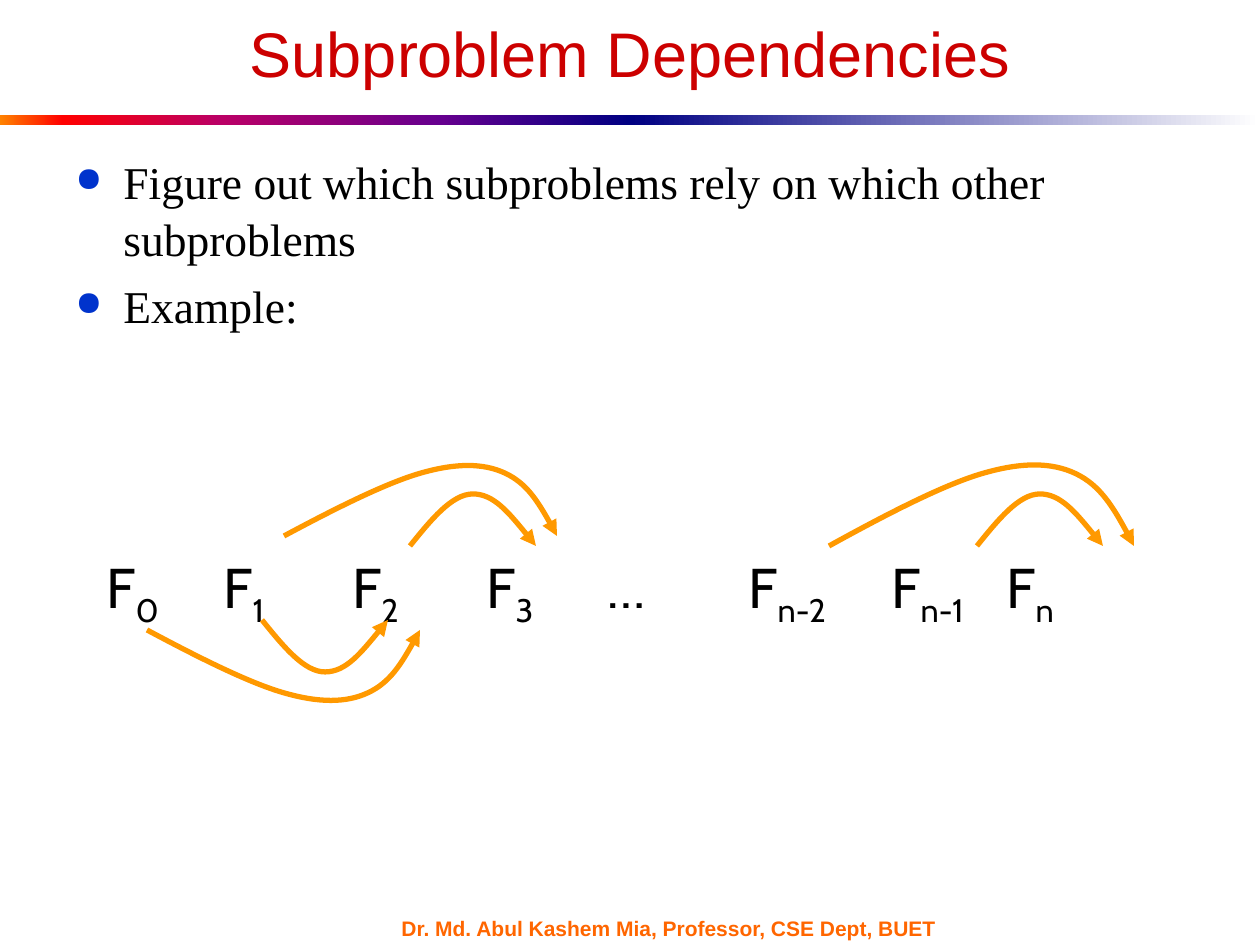
from pptx import Presentation
from pptx.dml.color import RGBColor
from pptx.enum.shapes import MSO_SHAPE
from pptx.enum.text import MSO_ANCHOR, PP_ALIGN
from pptx.oxml.ns import qn
from pptx.util import Emu, Pt
from lxml.etree import SubElement

EMU_PER_PX = 914400 / 126
BLACK = RGBColor(0x00, 0x00, 0x00)
RED = RGBColor(0xCC, 0x00, 0x00)
BLUE = RGBColor(0x00, 0x33, 0xCC)
ORANGE = RGBColor(0xFF, 0x66, 0x00)
AMBER = RGBColor(0xFF, 0x99, 0x00)
NAVY = RGBColor(0x00, 0x00, 0x82)
WHITE = RGBColor(0xFF, 0xFF, 0xFF)
WARM_STOPS = [
    (0, RGBColor(0xFF, 0x82, 0x00)),
    (10, RGBColor(0xFF, 0x00, 0x00)),
    (35, RGBColor(0xBA, 0x00, 0x66)),
    (70, RGBColor(0x66, 0x00, 0x8F)),
    (100, NAVY),
]
COOL_STOPS = [(0, NAVY), (100, WHITE)]

TITLE_FORMAT = {"name": "Arial", "size": Pt(36), "color": RED}
BODY_FORMAT = {"name": "Times New Roman", "size": Pt(26), "color": BLACK}
TERM_FORMAT = {"name": "Cabin", "size": Pt(32), "color": BLACK}
FOOTER_FORMAT = {"name": "Arial", "size": Pt(12), "color": ORANGE, "bold": True}

TERMS = [
    (0, "F", "0"), (117, "F", "1"), (246, "F", "2"), (380, "F", "3"),
    (501, "…", ""), (642, "F", "n-2"), (785, "F", "n-1"), (900, "F", "n"),
]
SHORT_ARC = [(0, 0), (1 / 6, 0.5), (1 / 3, 1), (0.5, 1),
             (2 / 3, 1), (5 / 6, 0.5), (1, 0)]
LONG_ARC = [(0, 0), (0.18, 0.36), (0.37, 0.72), (0.5, 0.86), (0.63, 1),
            (0.73, 1), (0.81, 0.86), (0.89, 0.72), (0.95, 0.36), (1, 0)]
ARCS = [
    (SHORT_ARC, (262, 620, 126, 52)),
    (SHORT_ARC, (410, 546, 126, -52)),
    (SHORT_ARC, (977, 546, 126, -52)),
    (LONG_ARC, (147, 630, 273, 73)),
    (LONG_ARC, (284, 536, 273, -73)),
    (LONG_ARC, (829, 546, 305, -84)),
]


def px(length):
    """Turn pixels into EMU."""
    return Emu(round(length * EMU_PER_PX))


def add_span(para, text, formats):
    """Add a formatted run to a paragraph."""
    span = para.add_run()
    span.text = text
    for name, value in formats.items():
        if name == "color":
            span.font.color.rgb = value
        else:
            setattr(span.font, name, value)
    return span


def add_frame(page, box, anchor=MSO_ANCHOR.TOP, wrap=True):
    """Add a text box and return its text frame."""
    frame = page.shapes.add_textbox(*map(px, box)).text_frame
    frame.word_wrap = wrap
    frame.vertical_anchor = anchor
    return frame


def add_band(page, box, stops):
    """Add a bar with a left-to-right gradient."""
    band = page.shapes.add_shape(MSO_SHAPE.RECTANGLE, *map(px, box))
    band.shadow.inherit = False
    band.line.fill.background()
    band.fill.gradient()
    band.fill.gradient_angle = 0
    stop_list = band.element.spPr.find(".//" + qn("a:gsLst"))
    for stop in list(stop_list):
        stop_list.remove(stop)
    for position, color in stops:
        stop = SubElement(stop_list, qn("a:gs"), pos=str(position * 1000))
        SubElement(stop, qn("a:srgbClr"), val=str(color))


def add_divider(page, box):
    """Split the box into the warm and cool halves of the divider."""
    left, top, width, height = box
    half = width // 2
    for index, stops in enumerate((WARM_STOPS, COOL_STOPS)):
        add_band(page, (left + index * half, top, half, height), stops)


def add_title(page, box, text):
    """Add the centred slide title."""
    para = add_frame(page, box, MSO_ANCHOR.BOTTOM).paragraphs[0]
    para.alignment = PP_ALIGN.CENTER
    add_span(para, text, TITLE_FORMAT)


def add_bullets(page, box, items):
    """Add the bulleted list."""
    frame = add_frame(page, box)
    indent = px(48)
    for index, item in enumerate(items):
        para = frame.add_paragraph() if index else frame.paragraphs[0]
        para.space_before = Pt(5.2)
        para.line_spacing = 1.05
        add_span(para, item, BODY_FORMAT)
        props = para._p.get_or_add_pPr()
        props.set("marL", str(indent))
        props.set("indent", str(-indent))
        color = SubElement(props, qn("a:buClr"))
        SubElement(color, qn("a:srgbClr"), val=str(BLUE))
        SubElement(props, qn("a:buSzPct"), val="75000")
        SubElement(props, qn("a:buChar"), char="●")


def add_sequence(page, box, terms):
    """Add the row of subscripted terms, spaced by tab stops."""
    para = add_frame(page, box).paragraphs[0]
    tabs = SubElement(para._p.get_or_add_pPr(), qn("a:tabLst"))
    for offset, base, subscript in terms:
        if offset:
            SubElement(tabs, qn("a:tab"), pos=str(px(offset)), algn="l")
        add_span(para, "\t" + base if offset else base, TERM_FORMAT)
        if subscript:
            span = add_span(para, subscript, TERM_FORMAT)
            span.font._element.set("baseline", "-25000")


def add_arc(page, box, controls):
    """Add a curved arrow; a negative height makes it bulge upward."""
    left, top, width, height = box
    points = [(px(left + x * width), px(top + y * height)) for x, y in controls]
    builder = page.shapes.build_freeform(*points[0])
    builder.add_line_segments(points[1:], close=False)
    arc = builder.convert_to_shape()
    arc.shadow.inherit = False
    arc.fill.background()
    arc.line.color.rgb = AMBER
    arc.line.width = Pt(3)
    SubElement(arc.line._get_or_add_ln(), qn("a:tailEnd"), type="triangle")
    outline = arc.element.spPr.find(".//" + qn("a:path"))
    segments = outline.findall(qn("a:lnTo"))
    for start in range(0, len(segments), 3):
        curve = SubElement(outline, qn("a:cubicBezTo"))
        for segment in segments[start:start + 3]:
            curve.append(segment[0])
            outline.remove(segment)


def add_footer(page, box, text):
    """Add the author line."""
    frame = add_frame(page, box, MSO_ANCHOR.MIDDLE, wrap=False)
    add_span(frame.paragraphs[0], text, FOOTER_FORMAT)


def main():
    """Build and save the deck."""
    deck = Presentation()
    deck.slide_width, deck.slide_height = px(1260), px(945)
    page = deck.slides.add_slide(deck.slide_layouts[6])
    add_divider(page, (0, 115, 1260, 10))
    add_footer(page, (389, 917, 588, 23),
               "Dr. Md. Abul Kashem Mia, Professor, CSE Dept, BUET")
    add_title(page, (63, 32, 1134, 64), "Subproblem Dependencies")
    add_bullets(page, (63, 145, 1134, 599), [
        "Figure out which subproblems rely on which other subproblems",
        "Example:",
    ])
    add_sequence(page, (94, 546, 1113, 81), TERMS)
    for controls, box in ARCS:
        add_arc(page, box, controls)
    deck.save("out.pptx")


if __name__ == "__main__":
    main()
